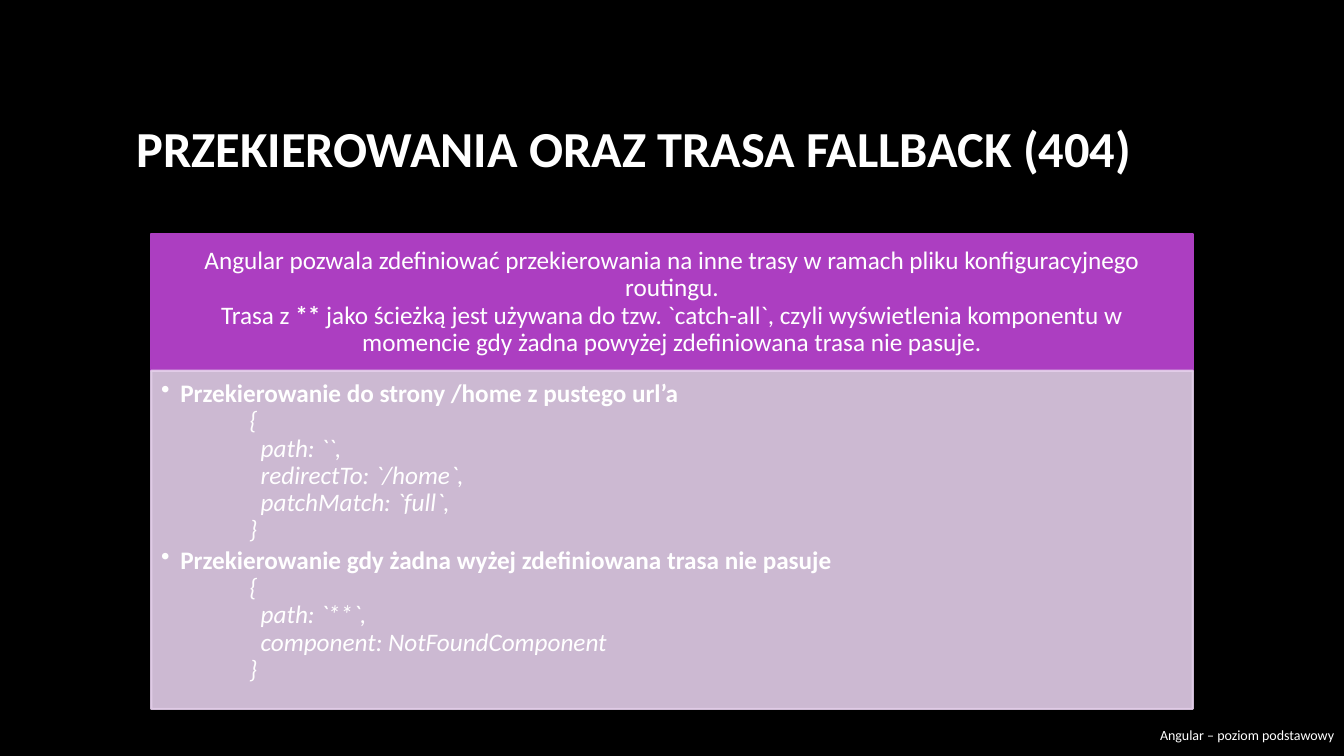
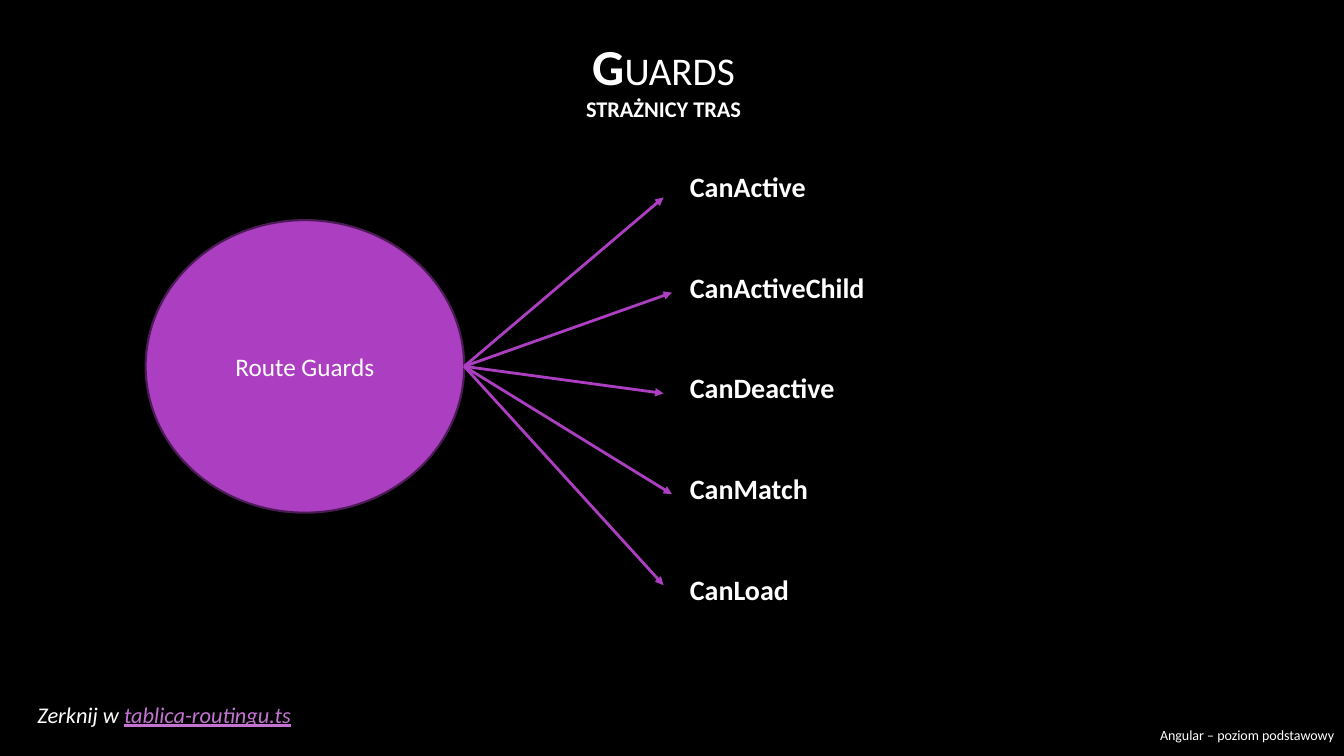
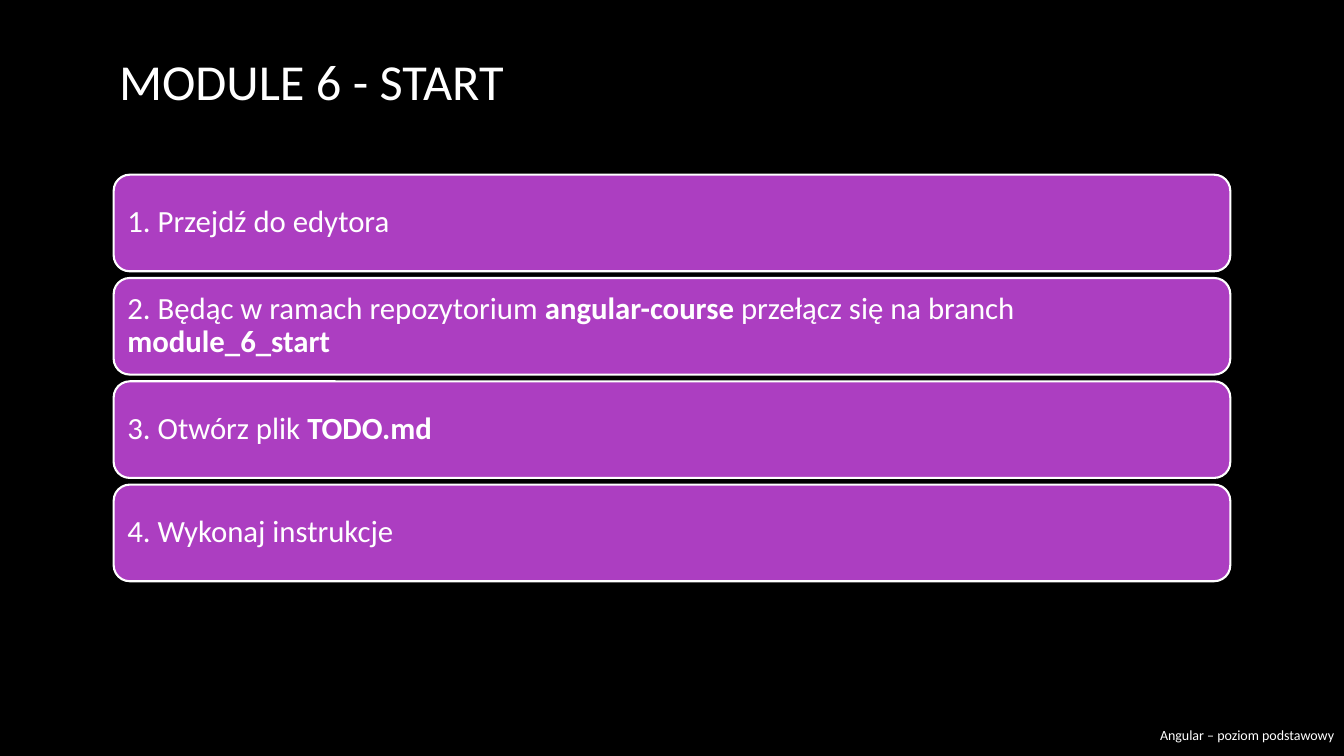
from lxml import etree
from pptx import Presentation
from pptx.dml.color import RGBColor
from pptx.enum.shapes import MSO_CONNECTOR, MSO_SHAPE
from pptx.enum.text import MSO_ANCHOR, PP_ALIGN
from pptx.oxml.ns import qn
from pptx.util import Pt

LEFT, MID, RIGHT = PP_ALIGN.LEFT, PP_ALIGN.CENTER, PP_ALIGN.RIGHT
TOP, HALF = MSO_ANCHOR.TOP, MSO_ANCHOR.MIDDLE
RECT, ROUND, OVAL = MSO_SHAPE.RECTANGLE, MSO_SHAPE.ROUNDED_RECTANGLE, MSO_SHAPE.OVAL
LINE = MSO_CONNECTOR.STRAIGHT

BLACK, WHITE = "000000", "FFFFFF"
PURPLE, PLUM, LILAC, PINK = "AC3EC1", "4B1B55", "E3CEE9", "C573D2"
FONT = "Calibri"
FOOTER = "Angular – poziom podstawowy"


def color(code):
    return RGBColor.from_string(code)


class Deck:
    def __init__(self):
        self.prs = Presentation()
        self.prs.slide_width, self.prs.slide_height = Pt(960), Pt(540)
        self.slide = None

    def start(self, title, x, y, align=MID):
        """Add a slide with its background, title and footer."""
        self.slide = self.prs.slides.add_slide(self.prs.slide_layouts[6])
        fill = self.slide.background.fill
        fill.solid()
        fill.fore_color.rgb = color(BLACK)
        self.text(x, y, 798, 114.5, [title], size=36, align=align, anchor=HALF)
        self.text(811.4, 510.5, 148.6, 29.5, [FOOTER], size=10, align=RIGHT, anchor=HALF)

    def paras(self, frame, paras, size=18, align=LEFT, anchor=TOP, insets=None,
              wrap=True, lines=None, before=0, after=0):
        """Fill a frame; a paragraph is a string or a list of (text, style) runs."""
        frame.word_wrap = wrap
        frame.vertical_anchor = anchor
        if insets:
            (frame.margin_left, frame.margin_top,
             frame.margin_right, frame.margin_bottom) = map(Pt, insets)
        for i, para in enumerate(paras):
            p = frame.add_paragraph() if i else frame.paragraphs[0]
            p.alignment = align
            if lines:
                p.line_spacing = lines
            p.space_before = Pt(before if i else 0)
            p.space_after = Pt(after)
            for text, style in [(para, {})] if isinstance(para, str) else para:
                self.runs(p, text, **{"size": size, **style})
        return frame.paragraphs

    def runs(self, p, text, size, bold=False, italic=False, under=False, ink=WHITE):
        for i, part in enumerate(text.split("\n")):
            if i:
                p.add_line_break()
            if part:
                run = p.add_run()
                run.text = part
                font = run.font
                font.name, font.size = FONT, Pt(size)
                font.bold, font.italic, font.underline = bold, italic, under
                font.color.rgb = color(ink)

    def indent(self, p, left, first=0, bullet=None):
        props = p._p.get_or_add_pPr()
        props.set("marL", str(Pt(left)))
        props.set("indent", str(Pt(first)))
        if bullet:
            etree.SubElement(props, qn("a:buChar")).set("char", bullet)

    def text(self, x, y, w, h, paras, **style):
        box = self.slide.shapes.add_textbox(Pt(x), Pt(y), Pt(w), Pt(h))
        return self.paras(box.text_frame, paras, **style)

    def shape(self, kind, x, y, w, h, fill, edge, paras, alpha=100, **style):
        item = self.slide.shapes.add_shape(kind, Pt(x), Pt(y), Pt(w), Pt(h))
        item.shadow.inherit = False
        item.fill.solid()
        item.fill.fore_color.rgb = color(fill)
        item.line.color.rgb = color(edge)
        item.line.width = Pt(1.5)
        if alpha < 100:
            for node in list(item._element.spPr.iter(qn("a:srgbClr"))):
                etree.SubElement(node, qn("a:alpha")).set("val", str(alpha * 1000))
        return self.paras(item.text_frame, paras, **style)

    def arrow(self, x1, y1, x2, y2):
        item = self.slide.shapes.add_connector(LINE, Pt(x1), Pt(y1), Pt(x2), Pt(y2))
        item.line.color.rgb = color(PURPLE)
        item.line.width = Pt(2)
        edge = item._element.spPr.find(qn("a:ln"))
        etree.SubElement(edge, qn("a:tailEnd")).set("type", "triangle")
        etree.SubElement(item._element.spPr, qn("a:effectLst"))


BOLD = {"bold": True}
CODE = {"italic": True}


def routes(deck):
    deck.start([("PRZEKIEROWANIA ORAZ TRASA FALLBACK (404)", BOLD)], 54, 48)

    # Heading band
    intro = [
        ("Angular pozwala zdefiniować przekierowania na inne trasy w ramach pliku "
         "konfiguracyjnego routingu.\nTrasa z ", {}),
        ("** ", BOLD),
        ("jako ścieżką jest używana do tzw. `catch-all`, czyli wyświetlenia komponentu "
         "w momencie gdy żadna powyżej zdefiniowana trasa nie pasuje.", {}),
    ]
    deck.shape(RECT, 108, 167.2, 744, 97.6, PURPLE, PURPLE, [intro],
               align=MID, anchor=HALF, insets=(10, 6, 10, 6), lines=0.9)

    # Panel with code samples
    paras = [
        [("Przekierowanie do strony /home z pustego url’a", BOLD)],
        [("{\n  path: ``,\n  redirectTo: `/home`,\n  patchMatch: `full`,\n}", CODE)],
        [("Przekierowanie gdy żadna wyżej zdefiniowana trasa nie pasuje", BOLD)],
        [("{\n  path: `**`,\n  component: NotFoundComponent\n}", CODE)],
    ]
    panel = deck.shape(RECT, 108, 264.8, 744, 241.6, LILAC, LILAC, paras, alpha=90,
                       insets=(7.2, 7.2, 10, 11.5), lines=0.9)
    for head, code in zip(panel[::2], panel[1::2]):
        deck.indent(head, 13.7, -13.7, "•")
        deck.indent(code, 63)
        code.space_after = Pt(2.5)


def guards(deck):
    deck.start([("G", BOLD), ("UARDS\n", {"size": 28}),
                ("STRAŻNICY TRAS", {"size": 16, "bold": True})], 75, -1)

    # Guard names
    names = ["CanActive", "CanActiveChild", "CanDeactive", "CanMatch", "CanLoad"]
    deck.text(485.7, 117.4, 140.4, 322.6, [[(name, BOLD)] for name in names],
              size=20, wrap=False, before=48)

    # Source circle and its arrows
    x, y, w, h = 104, 157.2, 227.6, 209
    deck.shape(OVAL, x, y, w, h, PURPLE, PLUM, ["Route Guards"], align=MID, anchor=HALF)
    for i, end in enumerate([141, 209, 281, 353, 418]):
        deck.arrow(x + w, y + h / 2, 480 if i % 2 else 474, end)

    # File hint
    deck.text(19.6, 497, 198, 26.6, [[
        ("Zerknij w ", CODE),
        ("tablica-routingu.ts", {"italic": True, "under": True, "ink": PINK}),
    ]], size=16, wrap=False)


def tasks(deck):
    deck.start("MODULE 6 - START", 78, 0, LEFT)

    # Step bars
    steps = [
        "1. Przejdź do edytora",
        [("2. Będąc w ramach repozytorium ", {}), ("angular-course", BOLD),
         (" przełącz się na branch ", {}), ("module_6_start", BOLD)],
        [("3. Otwórz plik ", {}), ("TODO.md", BOLD)],
        "4. Wykonaj instrukcje",
    ]
    for i, step in enumerate(steps):
        deck.shape(ROUND, 81.2, 124.8 + i * 73.8, 797.6, 69, PURPLE, WHITE, [step],
                   size=22, anchor=HALF, insets=(6.5, 3, 6.5, 3), lines=0.9)


def main():
    deck = Deck()
    routes(deck)
    guards(deck)
    tasks(deck)
    deck.prs.save("out.pptx")


if __name__ == "__main__":
    main()
